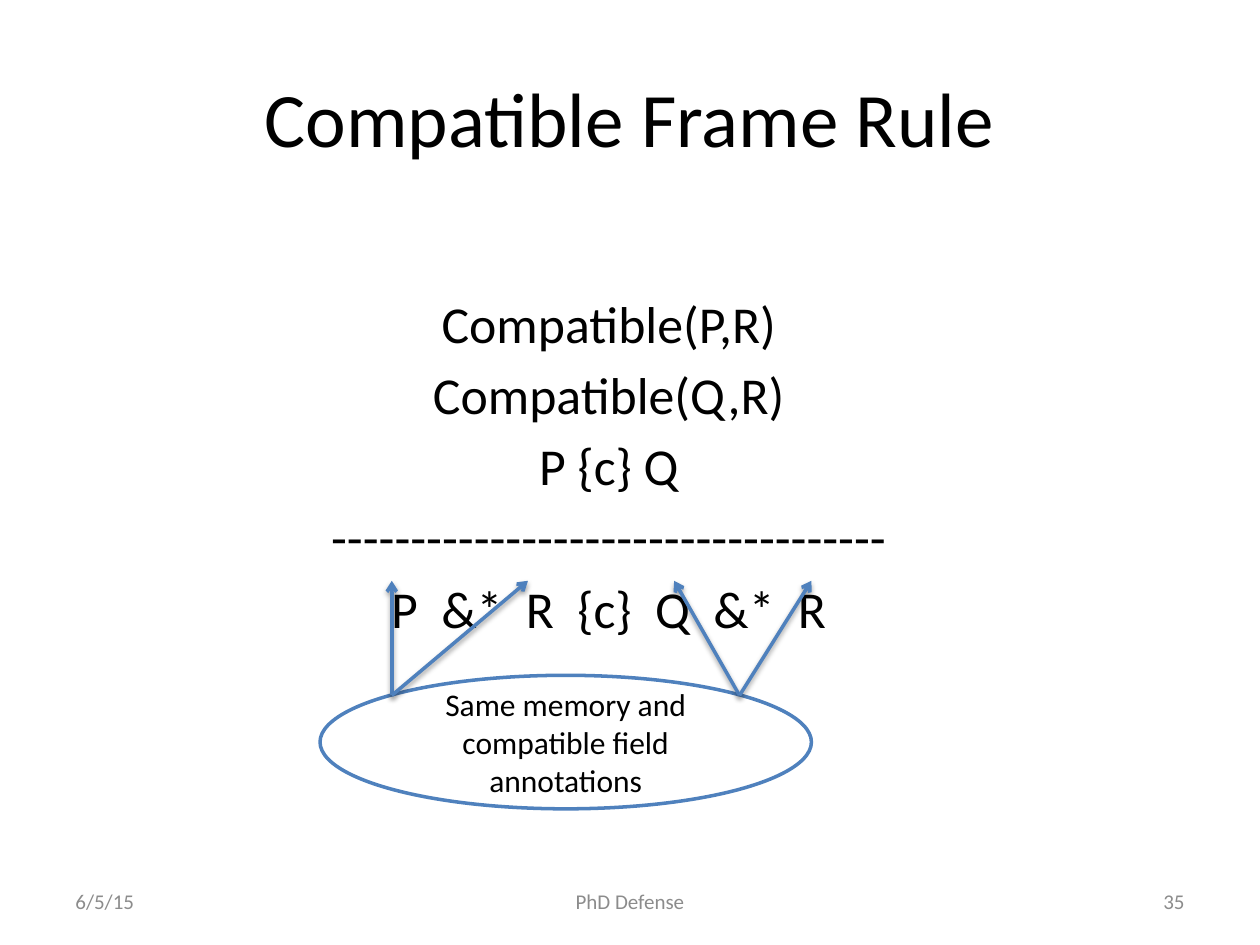
"""Build the Compatible Frame Rule slide."""
from dataclasses import dataclass

import lxml.etree
import pptx
import pptx.dml.color
import pptx.enum.shapes
import pptx.enum.text
import pptx.oxml
import pptx.oxml.ns
import pptx.util

Pt = pptx.util.Pt
Align = pptx.enum.text.PP_ALIGN
Anchor = pptx.enum.text.MSO_ANCHOR


@dataclass(frozen=True)
class Theme:
    font: str = "Calibri"
    text: str = "000000"
    muted: str = "8C8C8C"
    accent: str = "4F81BD"
    background: str = "FFFFFF"
    title_size: float = 44
    rule_size: float = 29.6
    note_size: float = 18
    footer_size: float = 12
    line_width: float = 2


@dataclass(frozen=True)
class Label:
    lines: tuple[str, ...]
    left: float
    top: float
    width: float
    height: float
    size: float
    color: str
    align: Align = Align.CENTER
    anchor: Anchor = Anchor.MIDDLE
    gap: float = 0


@dataclass(frozen=True)
class Arrow:
    start: tuple[float, float]
    end: tuple[float, float]


THEME = Theme()
RULE = (
    "Compatible(P,R)",
    "Compatible(Q,R)",
    "P {c} Q",
    "-" * 35,
    "P  &*  R  {c}  Q  &*  R",
)
FOOTER_TOP, FOOTER_HEIGHT = 500.4, 28.8
LABELS = (
    Label(("Compatible Frame Rule",), 36, 21.6, 648, 90, THEME.title_size, THEME.text),
    Label(RULE, 90, 163, 516, 192, THEME.rule_size, THEME.text, anchor=Anchor.TOP, gap=5.2),
    Label(("6/5/15",), 36, FOOTER_TOP, 168, FOOTER_HEIGHT,
          THEME.footer_size, THEME.muted, Align.LEFT),
    Label(("PhD Defense",), 246, FOOTER_TOP, 228, FOOTER_HEIGHT,
          THEME.footer_size, THEME.muted),
    Label(("35",), 516, FOOTER_TOP, 168, FOOTER_HEIGHT,
          THEME.footer_size, THEME.muted, Align.RIGHT),
)
NOTE = Label(("Same memory and compatible field annotations",), 182.9, 385.9, 280.8, 76.3,
             THEME.note_size, THEME.text)
ARROW_START_Y, ARROW_END_Y = 397.4, 331.9
ARROW_TARGETS = {223.9: (223.9, 301.7), 422.6: (385.2, 463.7)}
ARROWS = tuple(
    Arrow((start_x, ARROW_START_Y), (end_x, ARROW_END_Y))
    for start_x, targets in ARROW_TARGETS.items()
    for end_x in targets
)
SHADOW = (
    f'<a:effectLst {pptx.oxml.ns.nsdecls("a")}>'
    f'<a:outerShdw blurRad="{Pt(3.1)}" dist="{Pt(1.6)}" dir="5400000" rotWithShape="0">'
    '<a:srgbClr val="000000"><a:alpha val="38000"/></a:srgbClr>'
    "</a:outerShdw></a:effectLst>"
)


def rgb(color: str) -> pptx.dml.color.RGBColor:
    """Return the colour for a hexadecimal value."""
    return pptx.dml.color.RGBColor.from_string(color)


def write_text(shape, label: Label) -> None:
    """Fill a shape with the paragraphs of a label."""
    frame = shape.text_frame
    frame.word_wrap = True
    frame.vertical_anchor = label.anchor
    frame.text = "\n".join(label.lines)
    for index, paragraph in enumerate(frame.paragraphs):
        paragraph.alignment = label.align
        paragraph.font.name = THEME.font
        paragraph.font.size = Pt(label.size)
        paragraph.font.color.rgb = rgb(label.color)
        if index and label.gap:
            paragraph.space_before = Pt(label.gap)


def style_line(shape) -> None:
    """Give a shape the accent line."""
    shape.line.color.rgb = rgb(THEME.accent)
    shape.line.width = Pt(THEME.line_width)


def add_label(slide, label: Label) -> None:
    """Add a text box."""
    box = slide.shapes.add_textbox(
        Pt(label.left), Pt(label.top), Pt(label.width), Pt(label.height))
    write_text(box, label)


def add_note(slide, label: Label) -> None:
    """Add the outlined ellipse with its text."""
    ellipse = slide.shapes.add_shape(
        pptx.enum.shapes.MSO_SHAPE.OVAL,
        Pt(label.left), Pt(label.top), Pt(label.width), Pt(label.height))
    ellipse.shadow.inherit = False
    ellipse.fill.solid()
    ellipse.fill.fore_color.rgb = rgb(THEME.background)
    style_line(ellipse)
    write_text(ellipse, label)


def add_arrow(slide, arrow: Arrow) -> None:
    """Add a straight arrow with a soft shadow."""
    connector = slide.shapes.add_connector(
        pptx.enum.shapes.MSO_CONNECTOR.STRAIGHT,
        *(Pt(value) for value in arrow.start + arrow.end))
    style_line(connector)
    properties = connector._element.spPr
    outline = properties.find(pptx.oxml.ns.qn("a:ln"))
    lxml.etree.SubElement(outline, pptx.oxml.ns.qn("a:tailEnd"), type="arrow")
    properties.append(pptx.oxml.parse_xml(SHADOW))


def main() -> None:
    """Build and save the presentation."""
    presentation = pptx.Presentation()
    presentation.slide_width = Pt(720)
    presentation.slide_height = Pt(540)
    slide = presentation.slides.add_slide(presentation.slide_layouts[6])
    for label in LABELS:
        add_label(slide, label)
    add_note(slide, NOTE)
    for arrow in ARROWS:
        add_arrow(slide, arrow)
    presentation.save("out.pptx")


if __name__ == "__main__":
    main()
